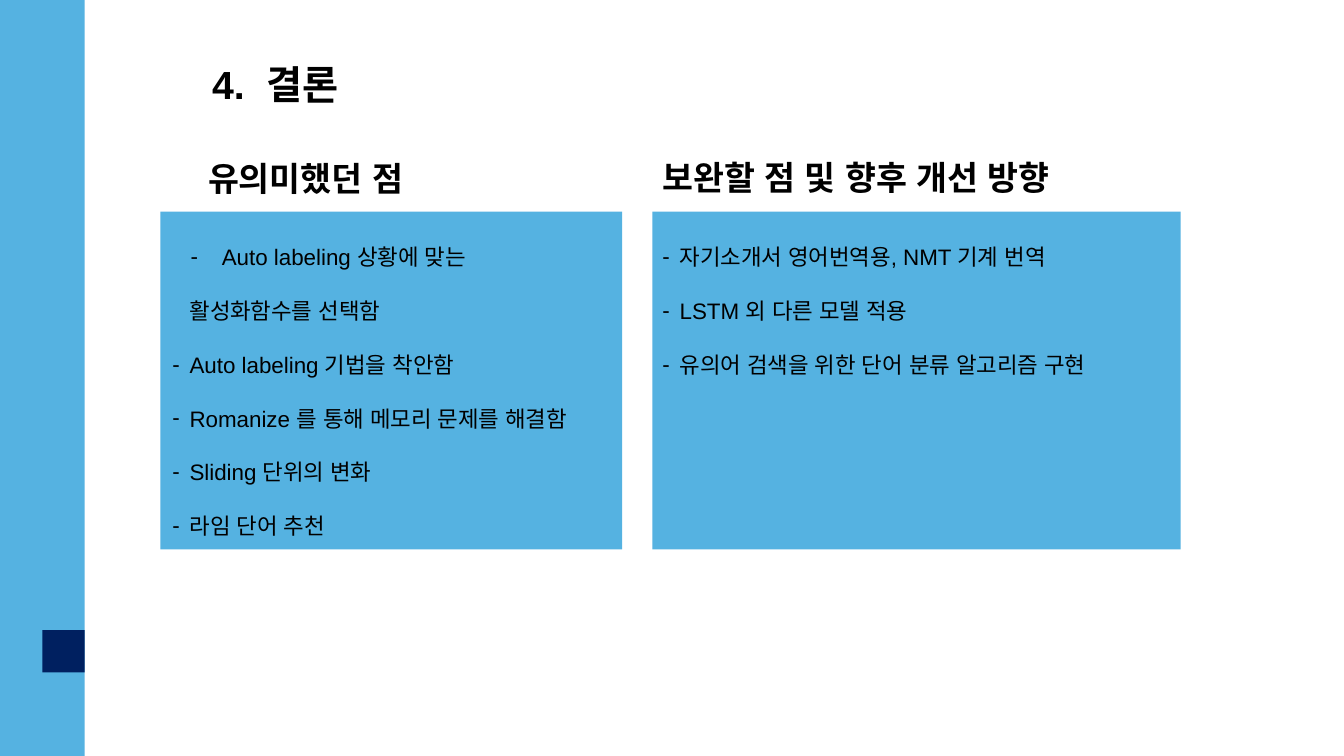
from lxml import etree
from pptx import Presentation
from pptx.dml.color import RGBColor
from pptx.enum.shapes import MSO_SHAPE
from pptx.enum.text import MSO_ANCHOR, MSO_AUTO_SIZE, PP_ALIGN
from pptx.oxml.ns import qn
from pptx.util import Inches, Pt

RECTANGLE = MSO_SHAPE.RECTANGLE
TOP = MSO_ANCHOR.TOP
GROW = MSO_AUTO_SIZE.SHAPE_TO_FIT_TEXT
CENTER, JUSTIFY, LEFT = PP_ALIGN.CENTER, PP_ALIGN.JUSTIFY, PP_ALIGN.LEFT

FONT = "Arial"
SKY, NAVY, BLACK = "55B2E1", "002060", "000000"
COMPARISON_LAYOUT = 4
INDENT = 0.17

# Each point: text, left margin, first-line indent, bulleted
STRENGTHS = [
    ("Auto labeling 상황에 맞는", 0.49, -0.31, True),
    ("활성화함수를 선택함", INDENT, 0, False),
] + [(point, INDENT, -INDENT, True) for point in (
    "Auto labeling 기법을 착안함",
    "Romanize 를 통해 메모리 문제를 해결함",
    "Sliding 단위의 변화",
    "라임 단어 추천",
)]
IMPROVEMENTS = [(point, INDENT, -INDENT, True) for point in (
    "자기소개서 영어번역용, NMT 기계 번역",
    "LSTM 외 다른 모델 적용",
    "유의어 검색을 위한 단어 분류 알고리즘 구현",
)]


def rgb(hex_color):
    return RGBColor.from_string(hex_color)


def add_block(slide, box, color):
    """Plain rectangle, kept behind the placeholders."""
    block = slide.shapes.add_shape(RECTANGLE, *map(Inches, box))
    block.shadow.inherit = False
    block.fill.solid()
    block.fill.fore_color.rgb = rgb(color)
    block.line.fill.background()
    slide.shapes.title.element.addprevious(block.element)


def set_indent(paragraph, margin, first_line, bulleted):
    properties = paragraph._p.get_or_add_pPr()
    properties.set("marL", str(Inches(margin)))
    properties.set("indent", str(Inches(first_line)))
    if bulleted:
        bullet_color = etree.SubElement(properties, qn("a:buClr"))
        etree.SubElement(bullet_color, qn("a:srgbClr"), val=BLACK)
        etree.SubElement(properties, qn("a:buFont"), typeface=FONT)
        etree.SubElement(properties, qn("a:buChar"), char="-")
    else:
        etree.SubElement(properties, qn("a:buNone"))


def fill_placeholder(placeholder, box, lines, size, align, bold=False):
    placeholder.left, placeholder.top, placeholder.width, placeholder.height = map(Inches, box)
    frame = placeholder.text_frame
    frame.word_wrap = True
    frame.auto_size = GROW
    frame.vertical_anchor = TOP
    for number, (text, margin, first_line, bulleted) in enumerate(lines):
        paragraph = frame.add_paragraph() if number else frame.paragraphs[0]
        paragraph.alignment = align
        paragraph.line_spacing = 2.0
        paragraph.space_before = paragraph.space_after = Pt(0)
        set_indent(paragraph, margin, first_line, bulleted)
        run = paragraph.add_run()
        run.text = text
        run.font.name = FONT
        run.font.size = Pt(size)
        run.font.bold = bold
        run.font.color.rgb = rgb(BLACK)
        etree.SubElement(run.font._element, qn("a:ea"), typeface=FONT)


def fill_heading(placeholder, box, text, size):
    fill_placeholder(placeholder, box, [(text, INDENT, 0, False)], size, CENTER, bold=True)


def add_sidebar(slide, left, top, width, height):
    add_block(slide, (left, top, width, height), SKY)
    half = width / 2
    add_block(slide, (left + half, top + 6.25, half, half), NAVY)


def add_column(slide, panel, heading, heading_box, points, points_box, align, first_idx):
    add_block(slide, panel, SKY)
    parts = {part.placeholder_format.idx: part for part in slide.placeholders}
    fill_heading(parts[first_idx], heading_box, heading, 24)
    fill_placeholder(parts[first_idx + 1], points_box, points, 16, align)


def build_conclusion(deck):
    slide = deck.slides.add_slide(deck.slide_layouts[COMPARISON_LAYOUT])
    # Sidebar and title
    add_sidebar(slide, 0, 0, 0.84, 7.5)
    fill_heading(slide.shapes.title, (0.84, 0.08, 3.61, 1.04), "4.  결론", 28)
    # Strengths
    add_column(slide, (1.59, 2.1, 4.58, 3.35),
               "유의미했던 점", (0.42, 1.12, 5.05, 0.76),
               STRENGTHS, (1.61, 2.1, 4.86, 4.41), JUSTIFY, 1)
    # Improvements
    add_column(slide, (6.47, 2.1, 5.24, 3.35),
               "보완할 점 및 향후 개선 방향", (5.88, 1.11, 5.05, 0.76),
               IMPROVEMENTS, (6.47, 2.1, 6.99, 2.79), LEFT, 3)


def main():
    deck = Presentation()
    deck.slide_width, deck.slide_height = Inches(13.33), Inches(7.5)
    build_conclusion(deck)
    deck.save("out.pptx")


if __name__ == "__main__":
    main()
